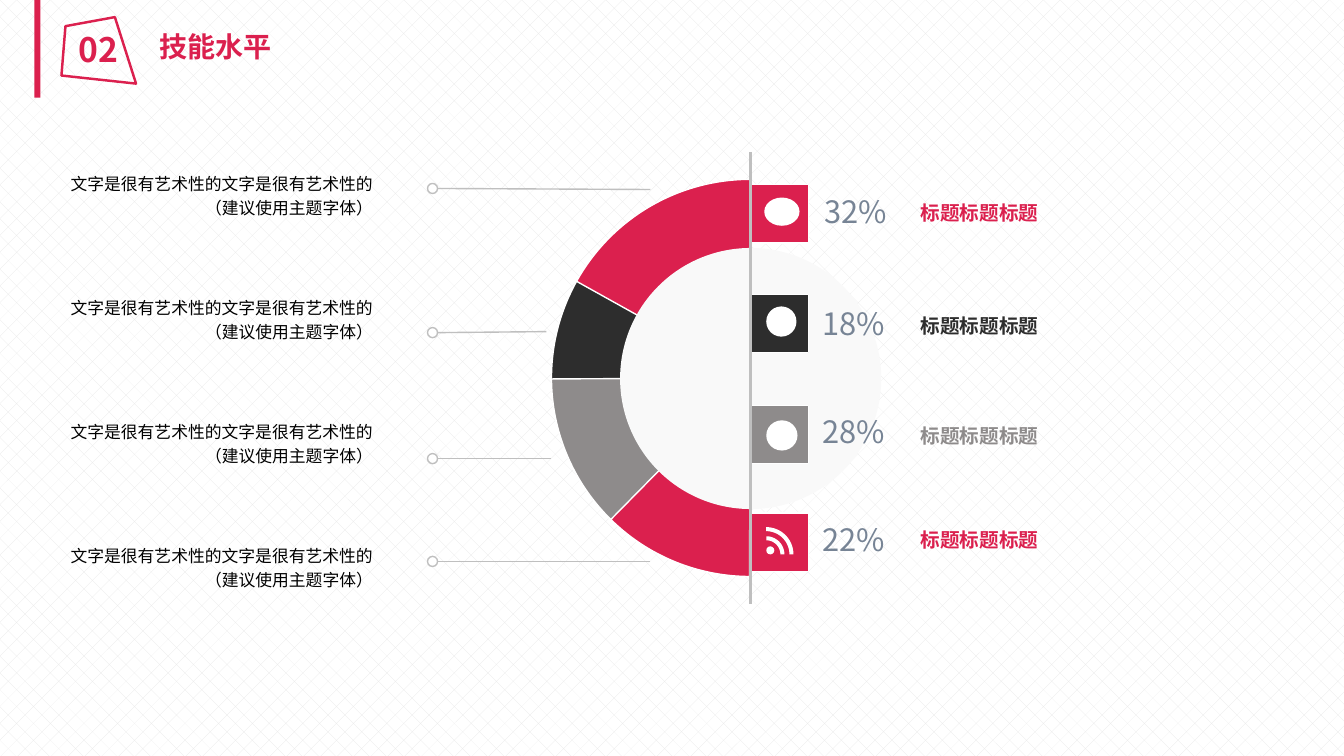
from math import cos, pi, sin

from lxml import etree
from pptx import Presentation
from pptx.dml.color import RGBColor
from pptx.enum.dml import MSO_PATTERN
from pptx.enum.shapes import MSO_CONNECTOR, MSO_SHAPE
from pptx.enum.text import MSO_ANCHOR, MSO_AUTO_SIZE, PP_ALIGN
from pptx.oxml.ns import qn
from pptx.util import Inches, Pt

RECT, OVAL, PIE = MSO_SHAPE.RECTANGLE, MSO_SHAPE.OVAL, MSO_SHAPE.PIE
LEFT, CENTER, RIGHT = PP_ALIGN.LEFT, PP_ALIGN.CENTER, PP_ALIGN.RIGHT
TOP, MIDDLE = MSO_ANCHOR.TOP, MSO_ANCHOR.MIDDLE
FONT = "Noto Sans CJK SC"
COLORS = {
    "red": "DB204E", "dark": "2D2D2D", "gray": "8E8B8B", "line": "BFBFBF",
    "slate": "778495", "pale": "F9F9F9", "dots": "E7E7E7",
    "white": "FFFFFF", "black": "000000",
}
AXIS = 7.44  # centre line of the ring
NOTE = ["文字是很有艺术性的文字是很有艺术性的", "（建议使用主题字体）"]

# color, end angle, tile top, value, value top, value left, label top
SKILLS = [
    ("red", 270, 1.83, "32%", 1.83, 8.18, 1.98),
    ("dark", 209.1, 2.92, "18%", 2.94, 8.16, 3.1),
    ("gray", 179.7, 4.02, "28%", 4.01, 8.16, 4.19),
    ("red", 134.53, 5.09, "22%", 5.08, 8.16, 5.22),
]
# line end x, line end y, dot centre y
LEADS = [(6.45, 1.88, 1.87), (5.42, 3.29, 3.3), (5.47, 4.55, 4.55), (6.45, 5.57, 5.57)]
# left, top, width, height of the plain marks on the first three tiles
MARKS = [(7.58, 1.96, 0.35, 0.28), (7.6, 3.04, 0.3, 0.3), (7.6, 4.17, 0.31, 0.3)]


def rgb(name):
    return RGBColor.from_string(COLORS[name])


def paint(shape, fill=None, line=None, width=1):
    """Set fill and outline by color name; None means empty."""
    shape.shadow.inherit = False
    if fill:
        shape.fill.solid()
        shape.fill.fore_color.rgb = rgb(fill)
    else:
        shape.fill.background()
    if line:
        shape.line.color.rgb = rgb(line)
        shape.line.width = Pt(width)
    else:
        shape.line.fill.background()


def add_box(slide, kind, box, fill, line=None):
    shape = slide.shapes.add_shape(kind, *map(Inches, box))
    paint(shape, fill, line)
    return shape


def add_line(slide, start, end, width):
    ends = map(Inches, (*start, *end))
    line = slide.shapes.add_connector(MSO_CONNECTOR.STRAIGHT, *ends)
    line.line.color.rgb = rgb("line")
    line.line.width = Pt(width)
    etree.SubElement(line._element.spPr, qn("a:effectLst"))


def add_path(slide, points, fill=None, line=None, width=1):
    spots = [(Inches(x), Inches(y)) for x, y in points]
    path = slide.shapes.build_freeform(*spots[0])
    path.add_line_segments(spots[1:], close=True)
    paint(path.convert_to_shape(), fill, line, width)


def write(shape, lines, size, color, bold=False, align=LEFT, anchor=MIDDLE, space=1.0):
    """Fill a text shape with one paragraph of broken lines."""
    frame = shape.text_frame
    frame.word_wrap = True
    frame.auto_size = MSO_AUTO_SIZE.NONE
    frame.vertical_anchor = anchor
    para = frame.paragraphs[0]
    para.alignment = align
    para.line_spacing = space
    for i, line in enumerate(lines):
        if i:
            para.add_line_break()
        run = para.add_run()
        run.text = line
        font = run.font
        font.size, font.bold, font.name = Pt(size), bold, FONT
        font.color.rgb = rgb(color)
        east = etree.SubElement(run._r.get_or_add_rPr(), qn("a:ea"))
        east.set("typeface", FONT)


def add_text(slide, box, lines, size, color, **style):
    shape = slide.shapes.add_textbox(*map(Inches, box))
    frame = shape.text_frame
    frame.margin_left = frame.margin_right = 0
    frame.margin_top = frame.margin_bottom = 0
    write(shape, lines, size, color, **style)


def add_head(slide):
    title = slide.shapes.title
    title.left, title.top = Inches(1.48), Inches(0.24)
    title.width, title.height = Inches(1.9), Inches(0.44)
    write(title, ["技能水平"], 20, "red", bold=True, anchor=TOP)
    frame = [(0.65, 0.26), (1.14, 0.17), (1.35, 0.83), (0.61, 0.75)]
    add_path(slide, frame, line="red", width=1.75)
    add_text(slide, (0.31, 0.24, 1.34, 0.5), ["02"], 24, "red", bold=True, align=CENTER)
    add_box(slide, RECT, (0.34, -0.01, 0.06, 0.98), "red")


def add_ring(slide):
    for color, end, *_ in SKILLS:
        pie = add_box(slide, PIE, (5.47, 1.78, 3.94, 3.94), color, "white")
        # the adjustment unit is 100000, the angle unit 60000
        pie.adjustments[0] = 90.16 * 0.6
        pie.adjustments[1] = end * 0.6
    add_box(slide, OVAL, (6.15, 2.46, 2.59, 2.59), "pale")


def add_feed(slide, x, y):
    """Draw the feed icon: a dot and two quarter bands around (x, y)."""
    add_box(slide, OVAL, (x, y - 0.08, 0.08, 0.08), "white")
    turns = [pi / 2 * i / 24 for i in range(25)]
    for inner, outer in ((0.14, 0.18), (0.23, 0.27)):
        rim = [(outer, t) for t in turns] + [(inner, t) for t in turns[::-1]]
        add_path(slide, [(x + r * cos(t), y - r * sin(t)) for r, t in rim], "white")


def add_skills(slide):
    for color, _, tile, value, top, left, label in SKILLS:
        add_box(slide, RECT, (AXIS, tile, 0.58, 0.58), color, "white")
        add_text(slide, (left, top, 1.02, 0.53), [value], 22, "slate")
        add_text(slide, (9.13, label, 3.52, 0.26), ["标题标题标题"], 14, color, bold=True)
    add_line(slide, (AXIS, 1.51), (AXIS, 5.99), 2.25)
    for mark in MARKS:
        add_box(slide, OVAL, mark, "white")
    add_feed(slide, 7.6, 5.5)


def add_notes(slide):
    for i, (x, y, dot) in enumerate(LEADS):
        add_text(slide, (0.68, 1.54 + 1.23 * i, 3.02, 0.77), NOTE, 12, "black",
                 align=RIGHT, space=1.2)
        add_line(slide, (x, y), (4.33, dot), 1)
        add_box(slide, OVAL, (4.24, dot - 0.05, 0.1, 0.1), "white", "line")


def main():
    deck = Presentation()
    deck.slide_width, deck.slide_height = Inches(13.33), Inches(7.5)
    slide = deck.slides.add_slide(deck.slide_layouts[5])
    back = slide.background.fill
    back.patterned()
    back.pattern = MSO_PATTERN.DOTTED_DIAMOND
    back.fore_color.rgb = rgb("dots")
    back.back_color.rgb = rgb("white")
    add_ring(slide)
    add_skills(slide)
    add_notes(slide)
    add_head(slide)
    deck.save("out.pptx")


if __name__ == "__main__":
    main()
